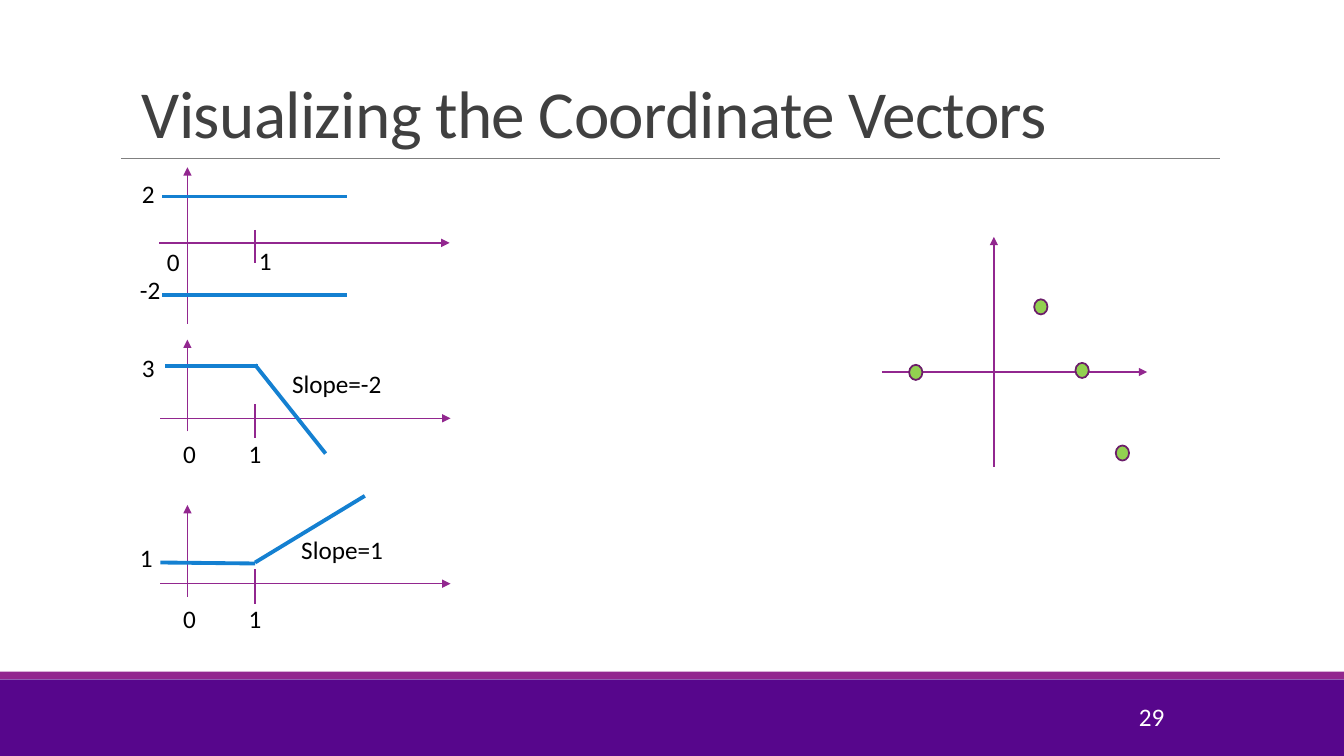
"""Build the slide that plots coordinate vectors as functions and as points."""
from dataclasses import dataclass

from lxml.etree import SubElement
from pptx import Presentation
from pptx.dml.color import RGBColor
from pptx.enum.shapes import MSO_CONNECTOR, MSO_SHAPE
from pptx.enum.text import MSO_ANCHOR, MSO_AUTO_SIZE, PP_ALIGN
from pptx.oxml.ns import qn
from pptx.shapes.autoshape import Shape
from pptx.slide import Slide
from pptx.util import Pt


@dataclass(frozen=True)
class Theme:
    """Fonts, type sizes, line widths and colours."""
    font: str = "Calibri"
    title_size: float = 48
    label_size: float = 18
    rule_width: float = 0.5
    axis_width: float = 1
    point_width: float = 1.25
    curve_width: float = 2.75
    title: str = "404040"
    label: str = "000000"
    page: str = "FFFFFF"
    footer: str = "57068C"
    accent: str = "92278F"
    rule: str = "808080"
    curve: str = "1480D1"
    point_fill: str = "92D050"
    point_edge: str = "6C1D6A"


@dataclass(frozen=True)
class Stroke:
    """A straight line from (x1, y1) to (x2, y2)."""
    x1: float
    y1: float
    x2: float
    y2: float


@dataclass(frozen=True)
class Label:
    """A short text with the corner and width of its box."""
    text: str
    left: float
    top: float
    width: float = 23.8


@dataclass(frozen=True)
class Graph:
    """One function plot: arrowed axes, unit ticks, curve pieces and labels."""
    axes: tuple[Stroke, ...]
    ticks: tuple[Stroke, ...]
    curve: tuple[Stroke, ...]
    labels: tuple[Label, ...]


THEME = Theme()
SLIDE_WIDTH, SLIDE_HEIGHT = 960, 540
LABEL_HEIGHT = 28.8
ORIGIN_X, UNIT_X = 133.9, 182.2
POINT_WIDTH, POINT_HEIGHT = 9.5, 10.8
POINTS = ((768.2, 259.2), (797, 318.2), (738.7, 213.8), (649.4, 260.6))


def bent_graph(axis_y: float, curve: tuple[Stroke, ...], *labels: Label) -> Graph:
    """Lay out a graph whose curve bends at 1, around its horizontal axis."""
    return Graph(
        axes=(Stroke(114.5, axis_y, 321.8, axis_y),
              Stroke(ORIGIN_X, axis_y + 9.4, ORIGIN_X, axis_y - 56.2)),
        ticks=(Stroke(UNIT_X, axis_y - 10.1, UNIT_X, axis_y + 14.4),),
        curve=curve,
        labels=(Label("1", 170.6, axis_y + 10.8), Label("0", 123.8, axis_y + 10.8), *labels),
    )


GRAPHS = (
    Graph(
        axes=(Stroke(113.8, 173.5, 321.1, 173.5), Stroke(ORIGIN_X, 231.1, ORIGIN_X, 119.5)),
        ticks=(Stroke(UNIT_X, 164.2, UNIT_X, 187.9),),
        curve=tuple(Stroke(115.9, y, 247.7, y) for y in (140.4, 211)),
        labels=(Label("1", 177.8, 171.4), Label("0", 112.2, 172.1),
                Label("2", 94.3, 123.8), Label("-2", 92.9, 192.2, 29.5)),
    ),
    bent_graph(
        298.8,
        (Stroke(118.1, 261.4, 184.3, 261.4), Stroke(UNIT_X, 260.6, 232.6, 324)),
        Label("3", 94.3, 248.4), Label("Slope=-2", 201.6, 259.2, 79.2),
    ),
    bent_graph(
        416.9,
        (Stroke(114.5, 401.8, UNIT_X, 402.5), Stroke(UNIT_X, 401.8, 260.6, 354.2)),
        Label("1", 92.9, 383.8), Label("Slope=1", 208.1, 378, 73.4),
    ),
    Graph(
        axes=(Stroke(709.9, 333.4, 709.9, 169.2), Stroke(630, 265.7, 819.4, 265.7)),
        ticks=(), curve=(), labels=(),
    ),
)


def draw_stroke(slide: Slide, stroke: Stroke, color: str, width: float,
                arrow: bool = False) -> None:
    """Draw a line without shadow, with an arrowhead at its end if asked."""
    segment = slide.shapes.add_connector(
        MSO_CONNECTOR.STRAIGHT, Pt(stroke.x1), Pt(stroke.y1), Pt(stroke.x2), Pt(stroke.y2))
    segment.line.color.rgb = RGBColor.from_string(color)
    segment.line.width = Pt(width)
    properties = segment._element.spPr
    if arrow:
        SubElement(properties.find(qn("a:ln")), qn("a:tailEnd"), type="triangle")
    SubElement(properties, qn("a:effectLst"))


def draw_solid(slide: Slide, kind: MSO_SHAPE, left: float, top: float, width: float,
               height: float, fill: str) -> Shape:
    """Draw a filled preset shape without outline or shadow."""
    solid = slide.shapes.add_shape(kind, Pt(left), Pt(top), Pt(width), Pt(height))
    solid.shadow.inherit = False
    solid.fill.solid()
    solid.fill.fore_color.rgb = RGBColor.from_string(fill)
    solid.line.fill.background()
    return solid


def draw_text(slide: Slide, label: Label, height: float = LABEL_HEIGHT,
              size: float = THEME.label_size, color: str = THEME.label) -> Shape:
    """Draw a one-line text box in the theme font."""
    box = slide.shapes.add_textbox(Pt(label.left), Pt(label.top), Pt(label.width), Pt(height))
    box.text_frame.text = label.text
    box.text_frame.word_wrap = False
    font = box.text_frame.paragraphs[0].runs[0].font
    font.name = THEME.font
    font.size = Pt(size)
    font.color.rgb = RGBColor.from_string(color)
    return box


def draw_frame(slide: Slide) -> None:
    """Draw the footer bands, title, title rule and page number."""
    draw_solid(slide, MSO_SHAPE.RECTANGLE, 0, 485.3, SLIDE_WIDTH, 54.7, THEME.footer)
    draw_solid(slide, MSO_SHAPE.RECTANGLE, 0, 479.8, SLIDE_WIDTH, 5.2, THEME.accent)
    draw_stroke(slide, Stroke(86.4, 113, 871.2, 113), THEME.rule, THEME.rule_width)

    title = draw_text(slide, Label("Visualizing the Coordinate Vectors", 94.3, 30.2, 792),
                      82.1, THEME.title_size, THEME.title).text_frame
    title.word_wrap = True
    title.vertical_anchor = MSO_ANCHOR.BOTTOM
    title.paragraphs[0].line_spacing = 0.85
    title.paragraphs[0].runs[0]._r.get_or_add_rPr().set("spc", "-50")

    page = draw_text(slide, Label("29", 735.8, 497.5, 103), color=THEME.page).text_frame
    page.word_wrap = True
    page.vertical_anchor = MSO_ANCHOR.MIDDLE
    page.paragraphs[0].alignment = PP_ALIGN.RIGHT


def draw_graph(slide: Slide, graph: Graph) -> None:
    """Draw the axes, ticks, curve and labels of one graph."""
    for axis in graph.axes:
        draw_stroke(slide, axis, THEME.accent, THEME.axis_width, arrow=True)
    for tick in graph.ticks:
        draw_stroke(slide, tick, THEME.accent, THEME.axis_width)
    for piece in graph.curve:
        draw_stroke(slide, piece, THEME.curve, THEME.curve_width)
    for label in graph.labels:
        draw_text(slide, label).text_frame.auto_size = MSO_AUTO_SIZE.SHAPE_TO_FIT_TEXT


def main() -> None:
    """Build and save the slide."""
    deck = Presentation()
    deck.slide_width, deck.slide_height = Pt(SLIDE_WIDTH), Pt(SLIDE_HEIGHT)
    slide = deck.slides.add_slide(deck.slide_layouts[6])
    draw_frame(slide)
    for graph in GRAPHS:
        draw_graph(slide, graph)
    for left, top in POINTS:
        point = draw_solid(slide, MSO_SHAPE.OVAL, left, top, POINT_WIDTH, POINT_HEIGHT,
                           THEME.point_fill)
        point.line.color.rgb = RGBColor.from_string(THEME.point_edge)
        point.line.width = Pt(THEME.point_width)
    deck.save("out.pptx")


if __name__ == "__main__":
    main()
